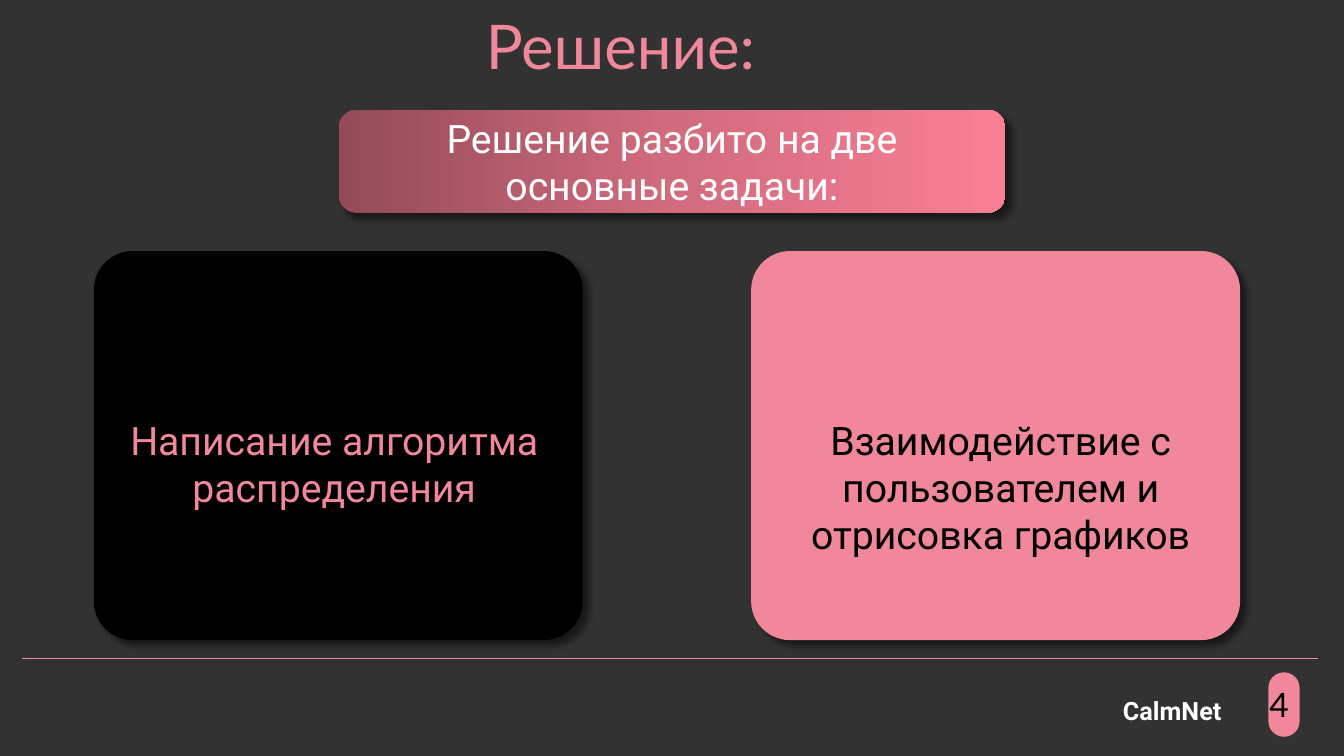
import copy
from dataclasses import dataclass

import pptx
import pptx.dml.color
import pptx.enum.dml
import pptx.enum.shapes
import pptx.enum.text
import pptx.oxml
import pptx.oxml.ns
import pptx.shapes.autoshape
import pptx.slide
import pptx.util
from pptx.dml.color import RGBColor

BACKGROUND = RGBColor(0x32, 0x32, 0x32)
PINK = RGBColor(0xF1, 0x87, 0x9B)
BLACK = RGBColor(0x00, 0x00, 0x00)
WHITE = RGBColor(0xFF, 0xFF, 0xFF)
BANNER_COLORS = (
    RGBColor(0x93, 0x4B, 0x59),
    RGBColor(0xD2, 0x6B, 0x7E),
    RGBColor(0xF9, 0x7F, 0x96),
)

SLIDE_WIDTH = pptx.util.Inches(13.33)
SLIDE_HEIGHT = pptx.util.Inches(7.5)
CARD_TOP, CARD_WIDTH, CARD_HEIGHT = 33.2, 36.38, 51.47
CARD_TEXT_TOP = 54.4

ALIGN = pptx.enum.text.PP_ALIGN
ANCHOR = pptx.enum.text.MSO_ANCHOR


@dataclass(frozen=True)
class Area:
    """A rectangle in percent of the slide's width and height."""

    left: float
    top: float
    width: float
    height: float

    def lengths(self) -> tuple[int, int, int, int]:
        return (across(self.left), down(self.top), across(self.width), down(self.height))


@dataclass(frozen=True)
class Card:
    left: float
    fill: RGBColor
    text: str
    text_color: RGBColor
    text_area: Area


CARDS = (
    Card(6.98, BLACK, "Написание алгоритма распределения", PINK,
         Area(6.68, CARD_TEXT_TOP, CARD_WIDTH, 13.87)),
    Card(55.89, PINK, "Взаимодействие с пользователем и отрисовка графиков", BLACK,
         Area(55.51, CARD_TEXT_TOP, 37.88, 20.13)),
)


def across(percent: float) -> int:
    return round(SLIDE_WIDTH * percent / 100)


def down(percent: float) -> int:
    return round(SLIDE_HEIGHT * percent / 100)


def write_text(shape: pptx.shapes.autoshape.Shape, text: str, *, size: float,
               color: RGBColor, font: str = "Roboto", bold: bool = False,
               align: ALIGN = ALIGN.LEFT, anchor: ANCHOR = ANCHOR.TOP,
               line_spacing: float = 1.0) -> None:
    frame = shape.text_frame
    frame.word_wrap = True
    frame.vertical_anchor = anchor
    paragraph = frame.paragraphs[0]
    paragraph.alignment = align
    paragraph.line_spacing = line_spacing
    run = paragraph.add_run()
    run.text = text
    run.font.name = font
    run.font.size = pptx.util.Pt(size)
    run.font.bold = bold
    run.font.color.rgb = color


def add_text_box(slide: pptx.slide.Slide, area: Area) -> pptx.shapes.autoshape.Shape:
    return slide.shapes.add_textbox(*area.lengths())


def add_rounded(slide: pptx.slide.Slide, area: Area, fill: RGBColor,
                rounding: float) -> pptx.shapes.autoshape.Shape:
    shape = slide.shapes.add_shape(
        pptx.enum.shapes.MSO_SHAPE.ROUNDED_RECTANGLE, *area.lengths())
    shape.adjustments[0] = rounding
    shape.fill.solid()
    shape.fill.fore_color.rgb = fill
    shape.line.fill.background()
    shape.shadow.inherit = False
    return shape


def add_shadow(shape: pptx.shapes.autoshape.Shape) -> None:
    """Cast a soft black shadow to the lower right."""
    effects = shape._element.spPr.find(pptx.oxml.ns.qn("a:effectLst"))
    effects.append(pptx.oxml.parse_xml(
        f'<a:outerShdw {pptx.oxml.ns.nsdecls("a")} blurRad="{pptx.util.Pt(5)}" '
        f'dist="{pptx.util.Pt(6)}" dir="2700000" algn="tl" rotWithShape="0">'
        '<a:srgbClr val="000000"><a:alpha val="50000"/></a:srgbClr></a:outerShdw>'))


def fill_banner(shape: pptx.shapes.autoshape.Shape) -> None:
    """Fill from left to right with evenly spaced banner colours."""
    shape.fill.gradient()
    shape.fill.gradient_angle = 0
    stop_list = shape._element.spPr.find(".//" + pptx.oxml.ns.qn("a:gsLst"))
    stop_list.insert(1, copy.deepcopy(stop_list[0]))
    for index, (stop, color) in enumerate(zip(shape.fill.gradient_stops, BANNER_COLORS)):
        stop.color.rgb = color
        stop.position = index / (len(BANNER_COLORS) - 1)


def add_footer_line(slide: pptx.slide.Slide) -> None:
    line = slide.shapes.add_connector(
        pptx.enum.shapes.MSO_CONNECTOR.STRAIGHT,
        across(1.65), down(87.07), across(98.05), down(87.07))
    line.line.color.rgb = PINK
    line.line.width = pptx.util.Pt(0.5)
    line._element.spPr.append(
        pptx.oxml.parse_xml(f'<a:effectLst {pptx.oxml.ns.nsdecls("a")}/>'))


def add_card(slide: pptx.slide.Slide, card: Card) -> None:
    area = Area(card.left, CARD_TOP, CARD_WIDTH, CARD_HEIGHT)
    add_shadow(add_rounded(slide, area, card.fill, 0.1))
    write_text(add_text_box(slide, card.text_area), card.text,
               size=28, color=card.text_color, align=ALIGN.CENTER)


def main() -> None:
    presentation = pptx.Presentation()
    presentation.slide_width = SLIDE_WIDTH
    presentation.slide_height = SLIDE_HEIGHT
    slide = presentation.slides.add_slide(presentation.slide_layouts[6])
    slide.background.fill.solid()
    slide.background.fill.fore_color.rgb = BACKGROUND

    add_footer_line(slide)
    write_text(add_text_box(slide, Area(35.41, 0.93, 27.68, 11.33)), "Решение:",
               size=44, color=PINK, font="Lato", anchor=ANCHOR.MIDDLE, line_spacing=0.9)

    add_rounded(slide, Area(94.37, 88.93, 2.33, 8.53), PINK, 0.5)
    write_text(add_text_box(slide, Area(93.7, 89.87, 2.55, 6.67)), "4",
               size=24, color=BLACK, font="Lato")

    banner = add_rounded(slide, Area(25.2, 14.53, 49.6, 13.6), PINK, 0.17)
    fill_banner(banner)
    add_shadow(banner)
    write_text(banner, "Решение разбито на две основные задачи:", size=28,
               color=WHITE, align=ALIGN.CENTER, anchor=ANCHOR.MIDDLE)

    for card in CARDS:
        add_card(slide, card)

    write_text(add_text_box(slide, Area(82.82, 91.33, 11, 5.33)), "CalmNet",
               size=18, color=WHITE, bold=True)
    presentation.save("out.pptx")


if __name__ == "__main__":
    main()
